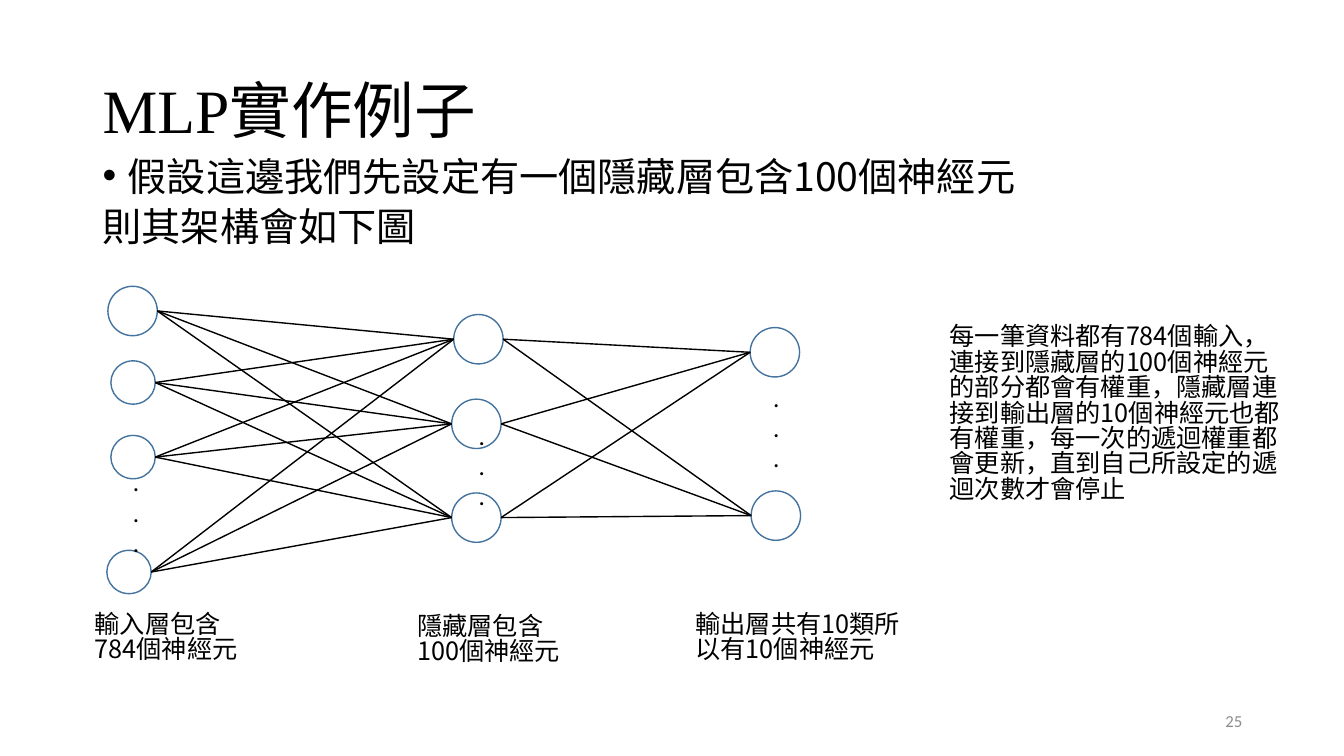
import itertools
from dataclasses import dataclass, field

import pptx
import pptx.dml.color
import pptx.enum.shapes
import pptx.enum.text
import pptx.oxml.ns
import pptx.oxml.xmlchemy
import pptx.util
from lxml import etree

Inches = pptx.util.Inches
RGB = pptx.dml.color.RGBColor
Anchor = pptx.enum.text.MSO_ANCHOR
Align = pptx.enum.text.PP_ALIGN
AutoSize = pptx.enum.text.MSO_AUTO_SIZE
qn = pptx.oxml.ns.qn


@dataclass(frozen=True)
class Theme:
    ink: str = "000000"
    outline: str = "43739E"
    paper: str = "FFFFFF"
    muted: str = "8C8C8C"
    cjk: str = "Noto Sans CJK SC"
    serif: str = "Times New Roman"
    sans: str = "Calibri"
    title: int = 44
    body: int = 28
    note: int = 18
    footer: int = 12
    line: float = 1


THEME = Theme()


@dataclass(frozen=True)
class Neuron:
    left: float
    top: float
    width: float = 0.49
    height: float = 0.49
    fill: str = ""

    @property
    def middle(self) -> float:
        return self.top + self.height / 2

    @property
    def right(self) -> float:
        return self.left + self.width


@dataclass(frozen=True)
class Passage:
    left: float
    top: float
    width: float
    height: float
    lines: tuple[str, ...]
    size: int = THEME.note
    font: str = THEME.cjk
    color: str = THEME.ink
    bulleted: bool = False
    frame: dict = field(default_factory=lambda: {"auto_size": AutoSize.SHAPE_TO_FIT_TEXT})
    paragraph: dict = field(default_factory=lambda: {"line_spacing": 0.84})
    gap: int = 0


def apply(target: object, values: dict) -> None:
    """Set each named attribute on the target."""
    for name, value in values.items():
        setattr(target, name, value)


def add_bullet(paragraph) -> None:
    """Give the paragraph a round bullet with a hanging indent."""
    properties = paragraph._p.get_or_add_pPr()
    indent = Inches(0.25)
    properties.set("marL", str(indent))
    properties.set("indent", str(-indent))
    etree.SubElement(properties, qn("a:buFont")).set("typeface", "Arial")
    etree.SubElement(properties, qn("a:buChar")).set("char", "•")


def add_passage(slide, passage: Passage) -> None:
    """Write a passage in a wrapping text box."""
    place = (passage.left, passage.top, passage.width, passage.height)
    frame = slide.shapes.add_textbox(*map(Inches, place)).text_frame
    apply(frame, {"word_wrap": True, **passage.frame})
    for index, line in enumerate(passage.lines):
        paragraph = frame.add_paragraph() if index else frame.paragraphs[0]
        if passage.bulleted and index == 0:
            add_bullet(paragraph)
        apply(paragraph, passage.paragraph)
        if index and passage.gap:
            paragraph.space_before = pptx.util.Pt(passage.gap)
        run = paragraph.add_run()
        run.text = line
        apply(run.font, {"size": pptx.util.Pt(passage.size), "name": passage.font})
        run.font.color.rgb = RGB.from_string(passage.color)
        east_asian = etree.SubElement(run._r.get_or_add_rPr(), qn("a:ea"))
        east_asian.set("typeface", THEME.cjk)


def add_neuron(slide, neuron: Neuron) -> None:
    """Draw one neuron as an outlined circle."""
    place = (neuron.left, neuron.top, neuron.width, neuron.height)
    circle = slide.shapes.add_shape(
        pptx.enum.shapes.MSO_SHAPE.OVAL, *map(Inches, place))
    circle.shadow.inherit = False
    if neuron.fill:
        circle.fill.solid()
        circle.fill.fore_color.rgb = RGB.from_string(neuron.fill)
    else:
        circle.fill.background()
    circle.line.color.rgb = RGB.from_string(THEME.outline)
    circle.line.width = pptx.util.Pt(THEME.line)


def add_weight(slide, source: Neuron, target: Neuron) -> None:
    """Draw the weight line between two neurons."""
    ends = (source.right, source.middle, target.left, target.middle)
    weight = slide.shapes.add_connector(
        pptx.enum.shapes.MSO_CONNECTOR.STRAIGHT, *map(Inches, ends))
    weight.line.color.rgb = RGB.from_string(THEME.ink)
    weight.line.width = pptx.util.Pt(THEME.line)
    etree.SubElement(weight._element.spPr, qn("a:effectLst"))


def ellipsis(left: float, top: float) -> Passage:
    """Describe three stacked dots standing for the omitted neurons."""
    return Passage(left, top, 1.24, 1.01, (".",) * 3, font=THEME.sans, paragraph={})


LAYERS = (
    (Neuron(1.07, 2.84), Neuron(1.1, 3.58, 0.44, 0.43),
     Neuron(1.1, 4.32, 0.44, 0.43), Neuron(1.06, 5.46, 0.44, 0.43)),
    (Neuron(4.5, 3.12, fill=THEME.paper), Neuron(4.48, 3.96, fill=THEME.paper),
     Neuron(4.48, 4.89, fill=THEME.paper)),
    (Neuron(7.44, 3.25), Neuron(7.45, 4.87)),
)

HEADINGS = (
    Passage(0.92, 0.4, 11.5, 1.45, ("MLP實作例子",), THEME.title, THEME.serif,
            frame={"vertical_anchor": Anchor.MIDDLE}, paragraph={"line_spacing": 0.9}),
    Passage(0.92, 1.57, 11.5, 5.18,
            ("假設這邊我們先設定有一個隱藏層包含100個神經元", "則其架構會如下圖"),
            THEME.body, bulleted=True, frame={}, paragraph={"line_spacing": 0.76}, gap=10),
    Passage(9.42, 6.95, 3, 0.4, ("25",), THEME.footer, THEME.sans, THEME.muted,
            frame={"vertical_anchor": Anchor.MIDDLE}, paragraph={"alignment": Align.RIGHT}),
)

NOTES = (
    Passage(4.04, 6.05, 1.79, 0.71, ("隱藏層包含100個神經元",)),
    Passage(0.84, 6.03, 1.79, 0.71, ("輸入層包含784個神經元",)),
    Passage(6.8, 6.03, 2.29, 0.71, ("輸出層共有10類所以有10個神經元",)),
    ellipsis(1.22, 4.58),
    ellipsis(4.65, 4.12),
    ellipsis(7.57, 3.74),
    Passage(9.32, 3.18, 3.53, 2.22, (
        "每一筆資料都有784個輸入，連接到隱藏層的100個神經元的部分都會有權重，"
        "隱藏層連接到輸出層的10個神經元也都有權重，每一次的遞迴權重都會更新，"
        "直到自己所設定的遞迴次數才會停止",)),
)


def main() -> None:
    """Build the network slide and save it."""
    deck = pptx.Presentation()
    apply(deck, {"slide_width": Inches(13.33), "slide_height": Inches(7.5)})
    slide = deck.slides.add_slide(deck.slide_layouts[6])
    for heading in HEADINGS:
        add_passage(slide, heading)
    for neuron in itertools.chain.from_iterable(LAYERS):
        add_neuron(slide, neuron)
    for sources, targets in itertools.pairwise(LAYERS):
        for source, target in itertools.product(sources, targets):
            add_weight(slide, source, target)
    for note in NOTES:
        add_passage(slide, note)
    deck.save("out.pptx")


if __name__ == "__main__":
    main()
